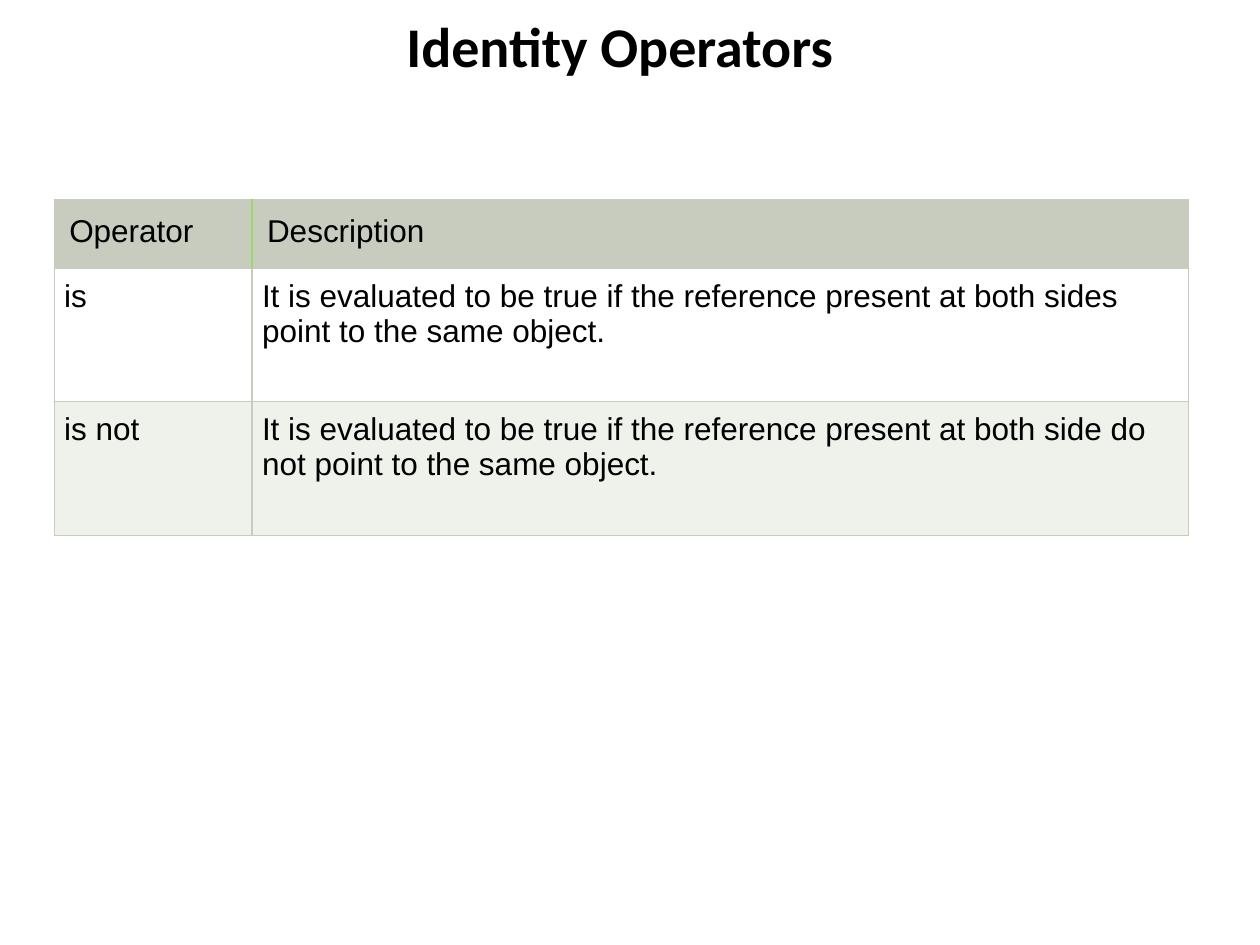
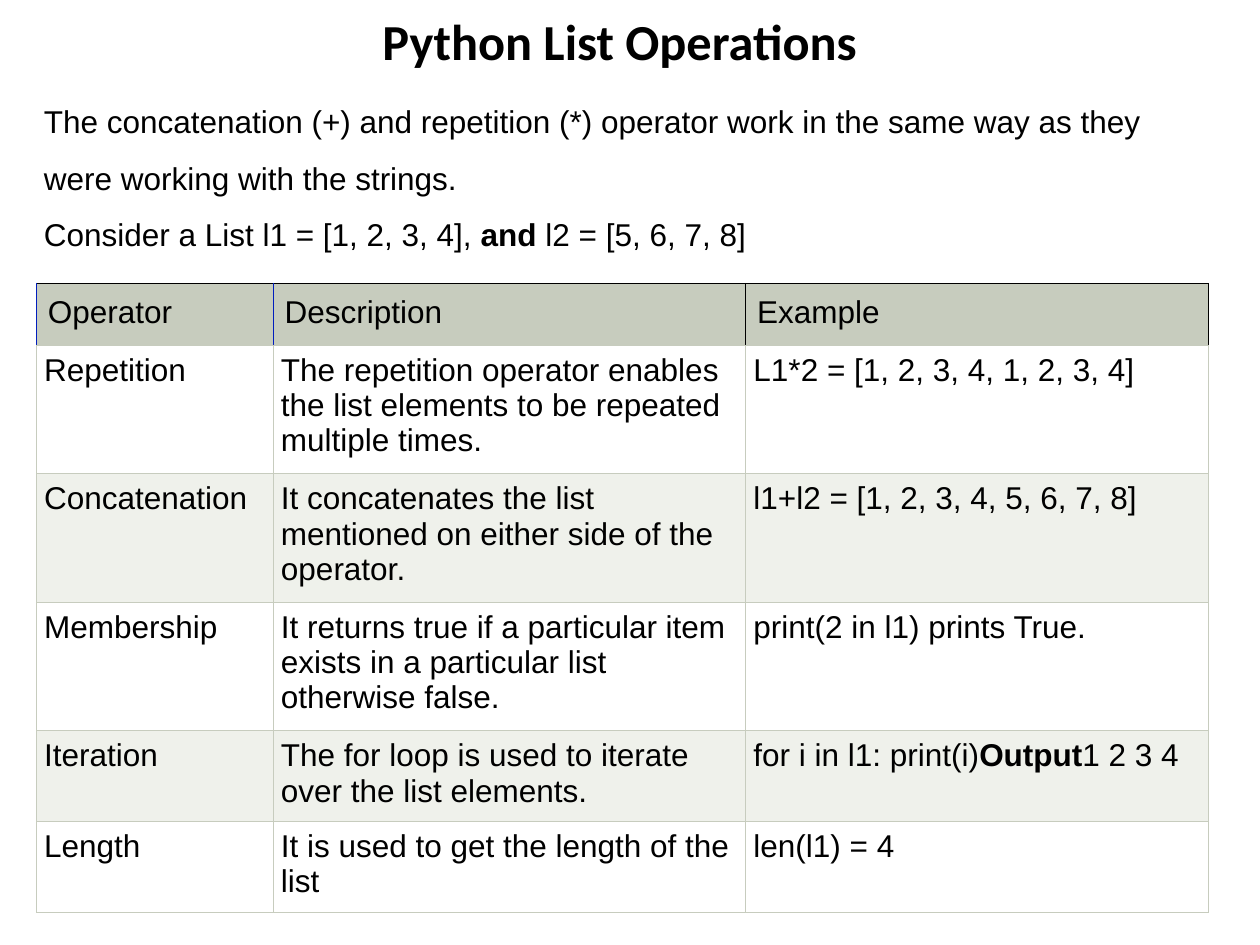
from lxml import etree
from pptx import Presentation
from pptx.dml.color import RGBColor
from pptx.enum.text import MSO_ANCHOR, MSO_AUTO_SIZE, PP_ALIGN
from pptx.oxml.ns import qn
from pptx.util import Inches, Pt

CENTER = PP_ALIGN.CENTER
MIDDLE = MSO_ANCHOR.MIDDLE
GROW = MSO_AUTO_SIZE.SHAPE_TO_FIT_TEXT
TITLE_ONLY = 5

COLORS = {
    "text": "000000",
    "header": "C7CCBE",
    "border": "C7CCBE",
    "plain": "FFFFFF",
    "band": "EFF1EB",
    "green": "98D965",
    "blue": "001DBE",
    "black": "000000",
}


def rgb(name):
    return RGBColor.from_string(COLORS[name])


class Deck:
    """Shared style and the current slide."""
    title_font, body_font, body_size = "Calibri", "Arial", 18

    def __init__(self):
        self.prs = Presentation()
        self.prs.slide_width, self.prs.slide_height = Inches(10), Inches(7.5)

    def style(self, p, font, size, bold=None):
        p.font.name, p.font.size, p.font.bold = font, Pt(size), bold
        p.font.color.rgb = rgb("text")

    def add_runs(self, p, content):
        """Fill a paragraph; every second part of a tuple is bold."""
        parts = (content,) if isinstance(content, str) else content
        for i, part in enumerate(parts):
            r = p.add_run()
            r.text = part
            if i % 2:
                r.font.bold = True
        self.style(p, self.body_font, self.body_size)

    def slide(self, title, top, height, size):
        self.s = self.prs.slides.add_slide(self.prs.slide_layouts[TITLE_ONLY])
        sp = self.s.shapes.title
        sp.left, sp.top = Inches(0.42), Inches(top)
        sp.width, sp.height = Inches(9), Inches(height)
        tf = sp.text_frame
        tf.text = title
        tf.vertical_anchor = MIDDLE
        tf.paragraphs[0].alignment = CENTER
        self.style(tf.paragraphs[0], self.title_font, size, True)

    def text(self, left, top, width, height, paragraphs, spacing):
        sp = self.s.shapes.add_textbox(
            Inches(left), Inches(top), Inches(width), Inches(height))
        tf = sp.text_frame
        tf.word_wrap = True
        tf.auto_size = GROW
        for i, content in enumerate(paragraphs):
            p = tf.add_paragraph() if i else tf.paragraphs[0]
            p.line_spacing = spacing
            self.add_runs(p, content)

    def borders(self, cell, **sides):
        tc_pr = cell._tc.get_or_add_tcPr()
        for side in "LRTB":
            ln = etree.SubElement(tc_pr, qn(f"a:ln{side}"), w=str(Pt(0.75)))
            fill = etree.SubElement(ln, qn("a:solidFill"))
            color = COLORS[sides.get(side, "border")]
            etree.SubElement(fill, qn("a:srgbClr"), val=color)

    def table(self, left, top, widths, heights, rows, insets, edges, top_edge):
        """insets: header and body; edges: header's vertical line colours."""
        frame = self.s.shapes.add_table(
            len(rows), len(widths), Inches(left), Inches(top),
            Inches(sum(widths)), Inches(sum(heights)))
        table = frame.table
        table.first_row = table.horz_banding = False
        for column, width in zip(table.columns, widths):
            column.width = Inches(width)
        for i, (row, height) in enumerate(zip(rows, heights)):
            table.rows[i].height = Inches(height)
            for j, content in enumerate(row):
                cell = table.cell(i, j)
                if i == 0:
                    self.borders(cell, L=edges[j], R=edges[j + 1], T=top_edge)
                    fill, inset = "header", Inches(insets[0])
                else:
                    self.borders(cell)
                    fill, inset = "plain" if i % 2 else "band", Inches(insets[1])
                cell.fill.solid()
                cell.fill.fore_color.rgb = rgb(fill)
                cell.margin_left = cell.margin_right = inset
                cell.margin_top = cell.margin_bottom = inset
                self.add_runs(cell.text_frame.paragraphs[0], content)


def identity_operators(deck):
    deck.slide("Identity Operators", 0.01, 0.7, 32)
    rows = [
        ("Operator", "Description"),
        ("is", "It is evaluated to be true if the reference present at both "
               "sides point to the same object."),
        ("is not", "It is evaluated to be true if the reference present at "
                   "both side do not point to the same object."),
    ]
    deck.table(0.43, 1.58, [1.57, 7.43], [0.55, 1.06, 1.06], rows,
               insets=(0.12, 0.08), edges=["border", "green", "border"],
               top_edge="border")


def list_operations(deck):
    deck.slide("Python List Operations", 0.03, 0.58, 28.8)
    # Introduction
    deck.text(0.25, 0.61, 9.33, 1.46, [
        "The concatenation (+) and repetition (*) operator work in the same "
        "way as they were working with the strings.",
        ("Consider a List l1 = [1, 2, 3, 4], ", "and", " l2 = [5, 6, 7, 8]"),
    ], spacing=1.5)
    # Operators
    rows = [
        ("Operator", "Description", "Example"),
        ("Repetition",
         "The repetition operator enables the list elements to be repeated "
         "multiple times.",
         "L1*2 = [1, 2, 3, 4, 1, 2, 3, 4]"),
        ("Concatenation",
         "It concatenates the list mentioned on either side of the operator.",
         "l1+l2 = [1, 2, 3, 4, 5, 6, 7, 8]"),
        ("Membership",
         "It returns true if a particular item exists in a particular list "
         "otherwise false.",
         "print(2 in l1) prints True."),
        ("Iteration",
         "The for loop is used to iterate over the list elements.",
         ("for i in l1: print(i)", "Output", "1 2 3 4")),
        ("Length", "It is used to get the length of the list", "len(l1) = 4"),
    ]
    deck.table(0.29, 2.25, [1.88, 3.75, 3.67], [0.49] + [1.02] * 3 + [0.72] * 2,
               rows, insets=(0.09, 0.06),
               edges=["blue", "blue", "black", "black"], top_edge="black")


def main():
    deck = Deck()
    identity_operators(deck)
    list_operations(deck)
    deck.prs.save("out.pptx")


if __name__ == "__main__":
    main()
